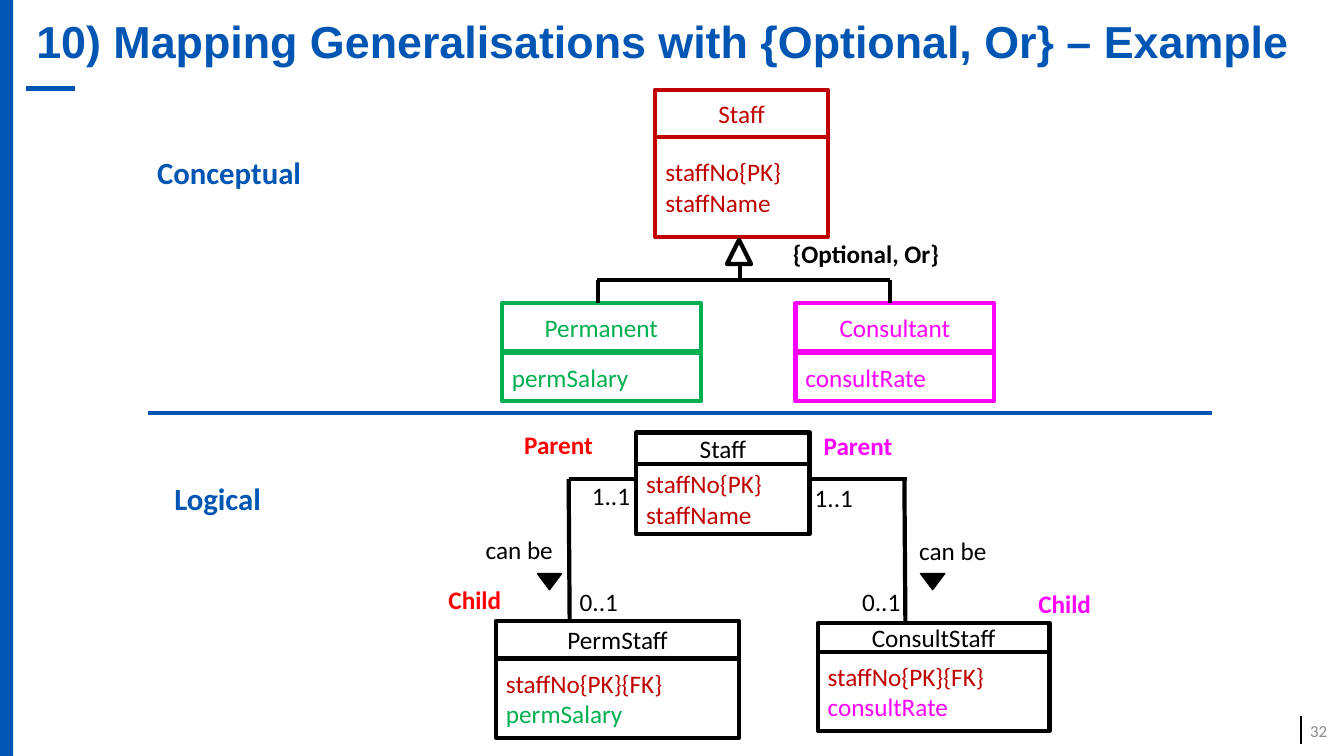
from pptx import Presentation
from pptx.dml.color import RGBColor
from pptx.enum import shapes, text
from pptx.oxml import ns
from pptx.util import Inches, Pt
from lxml import etree

BLUE = RGBColor(0x00, 0x56, 0xB2)
BLACK = RGBColor(0, 0, 0)
CRIMSON = RGBColor(0xC0, 0, 0)
RED = RGBColor(0xFF, 0, 0)
GREEN = RGBColor(0, 0xB0, 0x50)
MAGENTA = RGBColor(0xFF, 0, 0xFF)
GREY = RGBColor(0x8C, 0x8C, 0x8C)

WIDTH, HEIGHT = 13.33, 7.5
TITLE = "10) Mapping Generalisations with {Optional, Or} – Example"
SLIDE_NUMBER = "32"

ENTITIES = [
    ("Staff", CRIMSON, [("staffNo{PK}", CRIMSON), ("staffName", CRIMSON)],
     6.5, 0.89, 1.71, 0.47, 1.36, 0.99),
    ("Permanent", GREEN, [("permSalary", GREEN)],
     4.98, 3.01, 1.97, 0.47, 3.5, 0.48),
    ("Consultant", MAGENTA, [("consultRate", MAGENTA)],
     7.89, 3.01, 1.97, 0.47, 3.5, 0.48),
    ("Staff", BLACK, [("staffNo{PK}", CRIMSON), ("staffName", CRIMSON)],
     6.31, 4.29, 1.72, 0.31, 4.6, 0.7),
    ("PermStaff", BLACK, [("staffNo{PK}{FK}", CRIMSON), ("permSalary", GREEN)],
     4.92, 6.16, 2.41, 0.37, 6.54, 0.78),
    ("ConsultStaff", BLACK, [("staffNo{PK}{FK}", CRIMSON), ("consultRate", MAGENTA)],
     8.11, 6.18, 2.3, 0.29, 6.47, 0.78),
]

SECTIONS = [("Conceptual", 1.46, 1.48), ("Logical", 1.63, 4.71)]

LABELS = [
    ("{Optional, Or}", 8.59, 2.32, BLACK, True),
    ("Parent", 5.54, 4.21, RED, True),
    ("Parent", 8.51, 4.22, MAGENTA, True),
    ("Child", 4.71, 5.75, RED, True),
    ("Child", 10.56, 5.79, MAGENTA, True),
    ("1..1", 6.06, 4.72, BLACK, False),
    ("1..1", 8.27, 4.74, BLACK, False),
    ("0..1", 5.94, 5.77, BLACK, False),
    ("0..1", 8.74, 5.77, BLACK, False),
    ("can be", 5.15, 5.25, BLACK, False),
    ("can be", 9.45, 5.26, BLACK, False),
]
LABEL_WIDTH, LABEL_HEIGHT = 2.46, 0.4

INHERITANCE = [
    (5.92, 2.78, 8.83, 2.78),
    (5.93, 2.78, 5.93, 3.01),
    (8.83, 2.78, 8.83, 3.01),
    (7.34, 2.62, 7.34, 2.78),
]
RELATIONSHIPS = [
    (5.64, 4.75, 6.29, 4.75),
    (5.64, 4.75, 5.65, 6.18),
    (8.03, 4.75, 9, 4.75),
    (8.97, 4.75, 8.98, 6.18),
]
READING_ARROWS = [5.33, 9.13]

presentation = Presentation()
presentation.slide_width, presentation.slide_height = Inches(WIDTH), Inches(HEIGHT)
slide = presentation.slides.add_slide(presentation.slide_layouts[5])


def inches(*lengths):
    return [Inches(length) for length in lengths]


def write(frame, lines, size=18, bold=False, align=text.PP_ALIGN.CENTER,
          anchor=text.MSO_ANCHOR.MIDDLE, font="Calibri"):
    frame.word_wrap = True
    frame.auto_size = text.MSO_AUTO_SIZE.NONE
    frame.vertical_anchor = anchor
    for index, (wording, color) in enumerate(lines):
        paragraph = frame.paragraphs[0] if index == 0 else frame.add_paragraph()
        paragraph.text = wording
        paragraph.alignment = align
        paragraph.font.name = font
        paragraph.font.size = Pt(size)
        paragraph.font.bold = bold
        paragraph.font.color.rgb = color


def add_label(wording, color, left, top, width, height, **style):
    box = slide.shapes.add_textbox(*inches(left, top, width, height))
    write(box.text_frame, [(wording, color)], **style)


def add_outline(kind, box, line=None, fill=None, weight=3):
    shape = slide.shapes.add_shape(kind, *inches(*box))
    shape.shadow.inherit = False
    if fill is None:
        shape.fill.background()
    else:
        shape.fill.solid()
        shape.fill.fore_color.rgb = fill
    if line is None:
        shape.line.fill.background()
    else:
        shape.line.color.rgb = line
        shape.line.width = Pt(weight)
    return shape


def add_line(ends, color=BLACK, weight=3):
    line = slide.shapes.add_connector(shapes.MSO_CONNECTOR.STRAIGHT, *inches(*ends))
    line.line.color.rgb = color
    line.line.width = Pt(weight)
    etree.SubElement(line._element.spPr, ns.qn("a:effectLst"))


RECTANGLE = shapes.MSO_SHAPE.RECTANGLE
TRIANGLE = shapes.MSO_SHAPE.ISOSCELES_TRIANGLE

add_outline(RECTANGLE, (0, 0, 0.13, HEIGHT), fill=BLUE)
add_line((12.9, 7.1, 12.9, 7.38), weight=1.5)
add_line((0.26, 0.88, 0.74, 0.88), BLUE, 4)

title = slide.shapes.title
title.left, title.top, title.width, title.height = inches(0.26, 0, 12.94, 0.88)
write(title.text_frame, [(TITLE, BLUE)], 32, True, text.PP_ALIGN.LEFT, font="Arial")
title.text_frame.paragraphs[0].line_spacing = 0.9

for wording, left, top in SECTIONS:
    add_label(wording, BLUE, left, top, 1.88, 0.47, size=22, bold=True,
              align=text.PP_ALIGN.LEFT, anchor=text.MSO_ANCHOR.TOP)
add_line((1.47, 4.1, 12.02, 4.1), BLUE)

for name, color, attributes, left, top, width, head, body_top, body in ENTITIES:
    heading = add_outline(RECTANGLE, (left, top, width, head), color)
    write(heading.text_frame, [(name, color)])
    details = add_outline(RECTANGLE, (left, body_top, width, body), color)
    write(details.text_frame, attributes, align=text.PP_ALIGN.LEFT)

for ends in INHERITANCE + RELATIONSHIPS:
    add_line(ends)
add_outline(TRIANGLE, (7.21, 2.38, 0.24, 0.24), BLACK)
for left in READING_ARROWS:
    arrow = add_outline(TRIANGLE, (left, 5.69, 0.24, 0.16), BLACK, BLACK, 1)
    arrow.rotation = 180

for wording, centre, top, color, bold in LABELS:
    add_label(wording, color, centre - LABEL_WIDTH / 2, top, LABEL_WIDTH, LABEL_HEIGHT,
              bold=bold, anchor=text.MSO_ANCHOR.TOP)
add_label(SLIDE_NUMBER, GREY, 12.84, 7.05, 0.42, 0.4, size=12, align=text.PP_ALIGN.RIGHT)

presentation.save("out.pptx")
